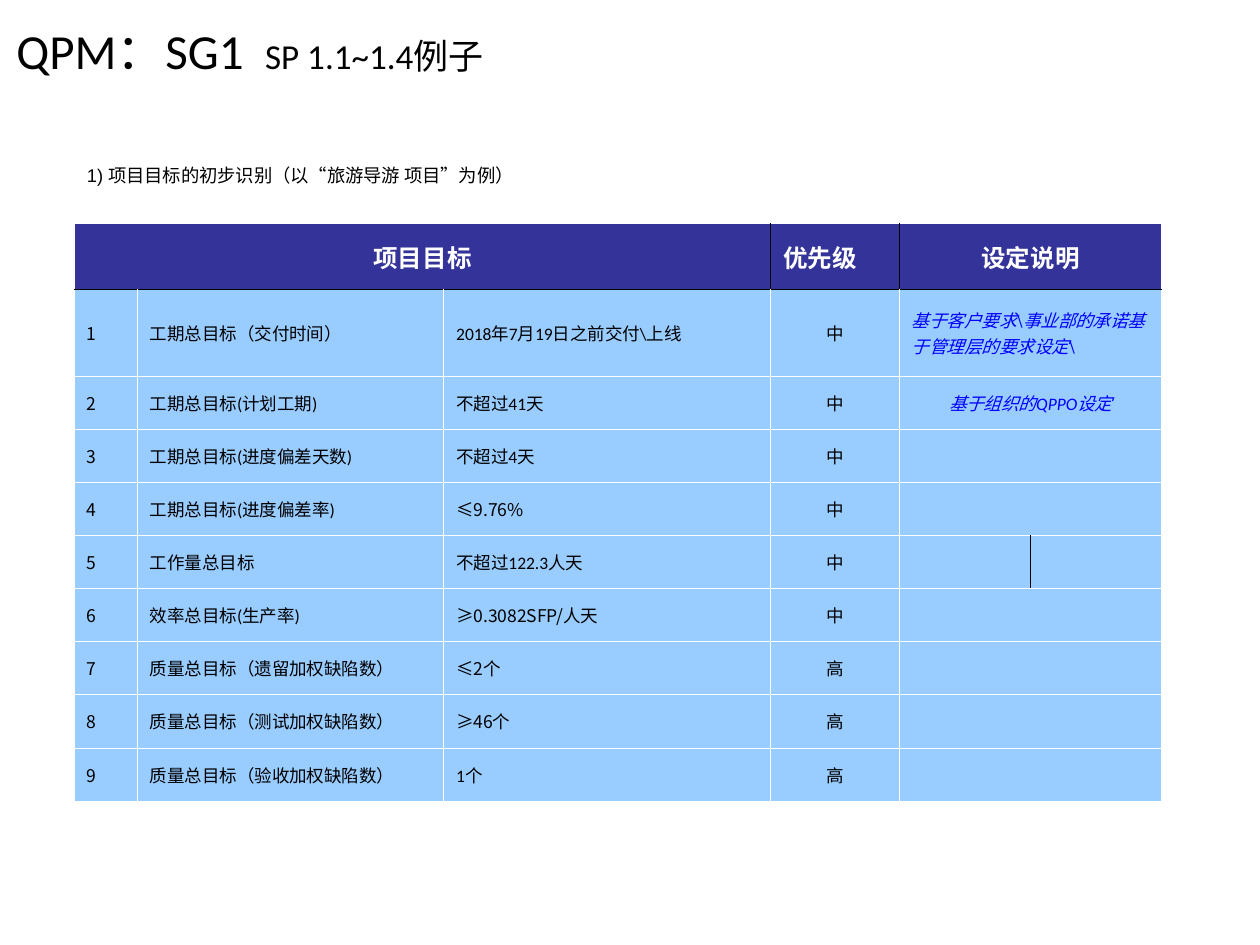
"""Build the slide on project goals with their priorities."""
import lxml.etree
import pptx
import pptx.dml.color
import pptx.enum.text
import pptx.oxml.ns
import pptx.util

Pt = pptx.util.Pt
RGB = pptx.dml.color.RGBColor
ALIGN = pptx.enum.text.PP_ALIGN
MIDDLE = pptx.enum.text.MSO_ANCHOR.MIDDLE
qn = pptx.oxml.ns.qn

BLACK = RGB(0, 0, 0)
WHITE = RGB(255, 255, 255)
NAVY = RGB(0x33, 0x33, 0x99)
SKY = RGB(0x99, 0xCC, 0xFF)
BLUE = RGB(0, 0, 255)
LATIN = "Calibri"
HAN = "Noto Sans CJK SC"

COLS = [36, 175, 187, 73.5, 75, 75]
ROWS = [37.9, 49.7] + [30.35] * 8
HEADS = {0: "项目目标", 3: "优先级", 4: "设定说明"}
GOALS = [
    ("工期总目标（交付时间）", "2018年7月19日之前交付\\上线", "中"),
    ("工期总目标(计划工期)", "不超过41天", "中"),
    ("工期总目标(进度偏差天数)", "不超过4天", "中"),
    ("工期总目标(进度偏差率)", "≤9.76%", "中"),
    ("工作量总目标", "不超过122.3人天", "中"),
    ("效率总目标(生产率)", "≥0.3082SFP/人天", "中"),
    ("质量总目标（遗留加权缺陷数）", "≤2个", "高"),
    ("质量总目标（测试加权缺陷数）", "≥46个", "高"),
    ("质量总目标（验收加权缺陷数）", "1个", "高"),
]
NOTES = {
    1: ("基于客户要求\\事业部的承诺基于管理层的要求设定\\", ALIGN.LEFT),
    2: ("基于组织的QPPO设定", ALIGN.CENTER),
}
SPLIT = 5
DARK = {(0, 3), (0, 4), (SPLIT, 5)}


def write(para, text, size=10, font=LATIN, color=BLACK, bold=False,
          italic=False, align=ALIGN.LEFT, track=0):
    """Add a formatted run to a paragraph."""
    para.alignment = align
    run = para.add_run()
    run.text = text
    run.font.size = Pt(size)
    run.font.name = font
    run.font.color.rgb = color
    run.font.bold = bold
    run.font.italic = italic
    if track:
        run.font._element.set("spc", str(track * 100))


def place(shape, left, top, width, height, hang=0, lead=1):
    """Move a placeholder and return its plain first paragraph."""
    shape.left, shape.top = Pt(left), Pt(top)
    shape.width, shape.height = Pt(width), Pt(height)
    frame = shape.text_frame
    frame.word_wrap = True
    frame.auto_size = pptx.enum.text.MSO_AUTO_SIZE.NONE
    frame.vertical_anchor = MIDDLE
    para = frame.paragraphs[0]
    props = para._p.get_or_add_pPr()
    props.set("marL", str(Pt(hang)))
    props.set("indent", str(-Pt(hang)))
    lxml.etree.SubElement(props, qn("a:buNone"))
    para.line_spacing = lead
    para.space_before = Pt(0)
    return para


def edge(cell, side, color, width):
    """Draw one border of a cell."""
    line = lxml.etree.SubElement(cell._tc.get_or_add_tcPr(), qn("a:ln" + side))
    line.set("w", str(Pt(width)))
    fill = lxml.etree.SubElement(line, qn("a:solidFill"))
    lxml.etree.SubElement(fill, qn("a:srgbClr")).set("val", str(color))


def style(cell, row, col):
    """Give a cell its borders, fill and anchor."""
    span = cell.span_width if cell.is_merge_origin else 1
    for side, end in (("L", col), ("R", col + span)):
        dark = (row, end) in DARK
        edge(cell, side, BLACK if dark else WHITE, 0.75 if dark else 0.5)
    for side, dark in (("T", row == 1), ("B", row == 0)):
        edge(cell, side, BLACK if dark else WHITE, 0.5)
    cell.fill.solid()
    cell.fill.fore_color.rgb = SKY if row else NAVY
    cell.vertical_anchor = MIDDLE


def frame(slide):
    """Add the empty table with its merged and styled cells."""
    shape = slide.shapes.add_table(len(ROWS), len(COLS), Pt(42.5), Pt(127.5),
                                   Pt(sum(COLS)), Pt(sum(ROWS)))
    table = shape.table
    for col, width in zip(table.columns, COLS):
        col.width = Pt(width)
    for row, height in zip(table.rows, ROWS):
        row.height = Pt(height)
    table.cell(0, 0).merge(table.cell(0, 2))
    for row in range(len(ROWS)):
        if row != SPLIT:
            table.cell(row, 4).merge(table.cell(row, 5))
        for col in range(len(COLS)):
            style(table.cell(row, col), row, col)
    return table


def fill(table):
    """Write the heads, goals and notes into the table."""
    def first(row, col):
        return table.cell(row, col).text_frame.paragraphs[0]

    for col, head in HEADS.items():
        write(first(0, col), head, size=14, color=WHITE, bold=True,
              align=ALIGN.LEFT if col == 3 else ALIGN.CENTER)
    for row, (goal, value, rank) in enumerate(GOALS, 1):
        write(first(row, 0), str(row), font=HAN)
        write(first(row, 1), goal)
        write(first(row, 2), value, font=HAN if value[0] in "≤≥" else LATIN)
        write(first(row, 3), rank, align=ALIGN.CENTER)
    for row, (note, align) in NOTES.items():
        write(first(row, 4), note, color=BLUE, italic=True, align=align)


def main():
    """Build and save the slide."""
    deck = pptx.Presentation()
    deck.slide_width, deck.slide_height = Pt(720), Pt(540)
    slide = deck.slides.add_slide(deck.slide_layouts[1])
    title, body = slide.placeholders
    para = place(body, 42.5, 60.5, 601, 72.5, lead=1.5)
    write(para, "1) 项目目标的初步识别（以“旅游导游 项目”为例）",
          size=10.5, font="Arial")
    para = place(title, 2.2, 13, 488, 36, hang=27, lead=0.85)
    write(para, "QPM：SG1", size=28)
    write(para, " ", size=28, track=6)
    write(para, "SP 1.1~1.4例子", size=20)
    fill(frame(slide))
    deck.save("out.pptx")


if __name__ == "__main__":
    main()
